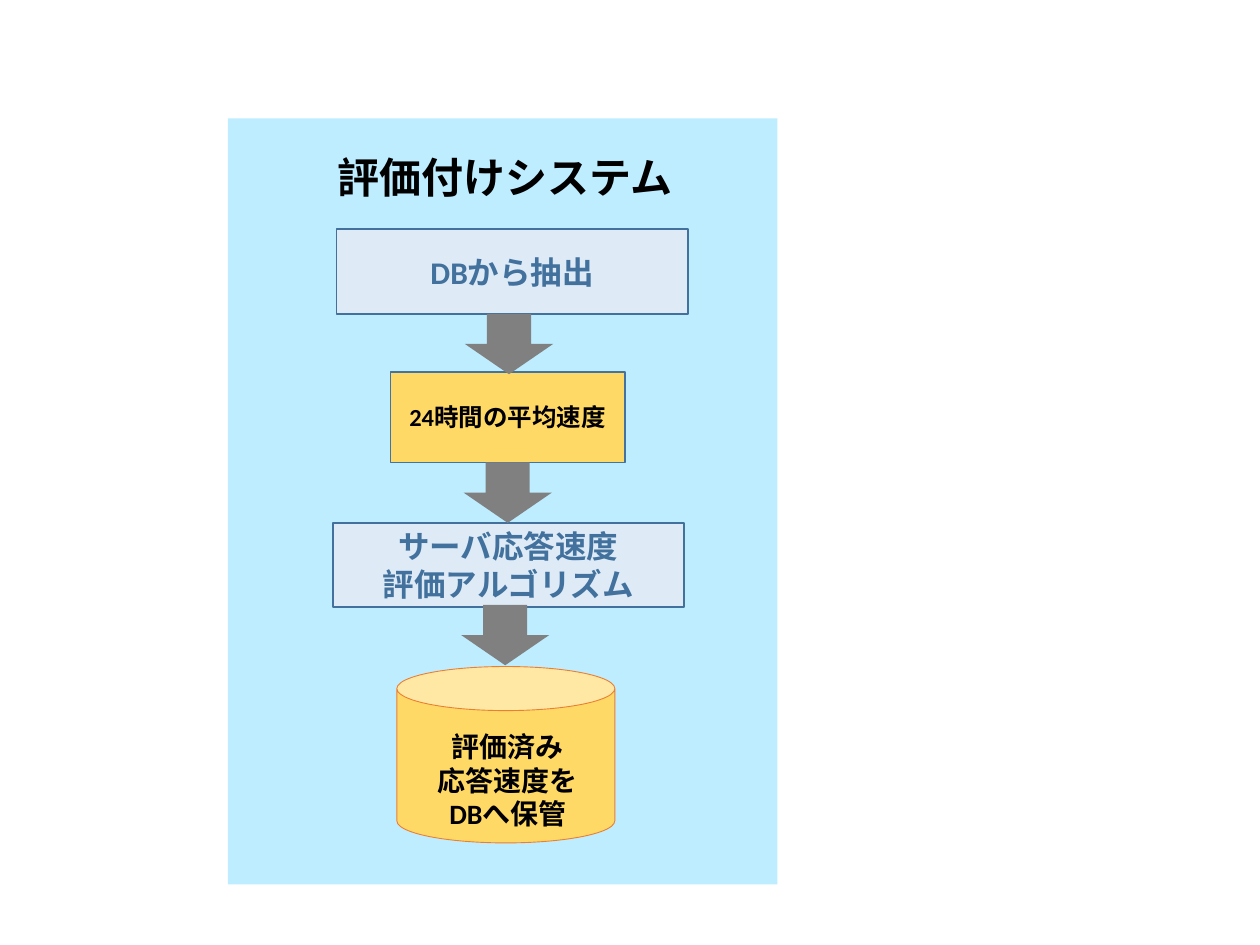
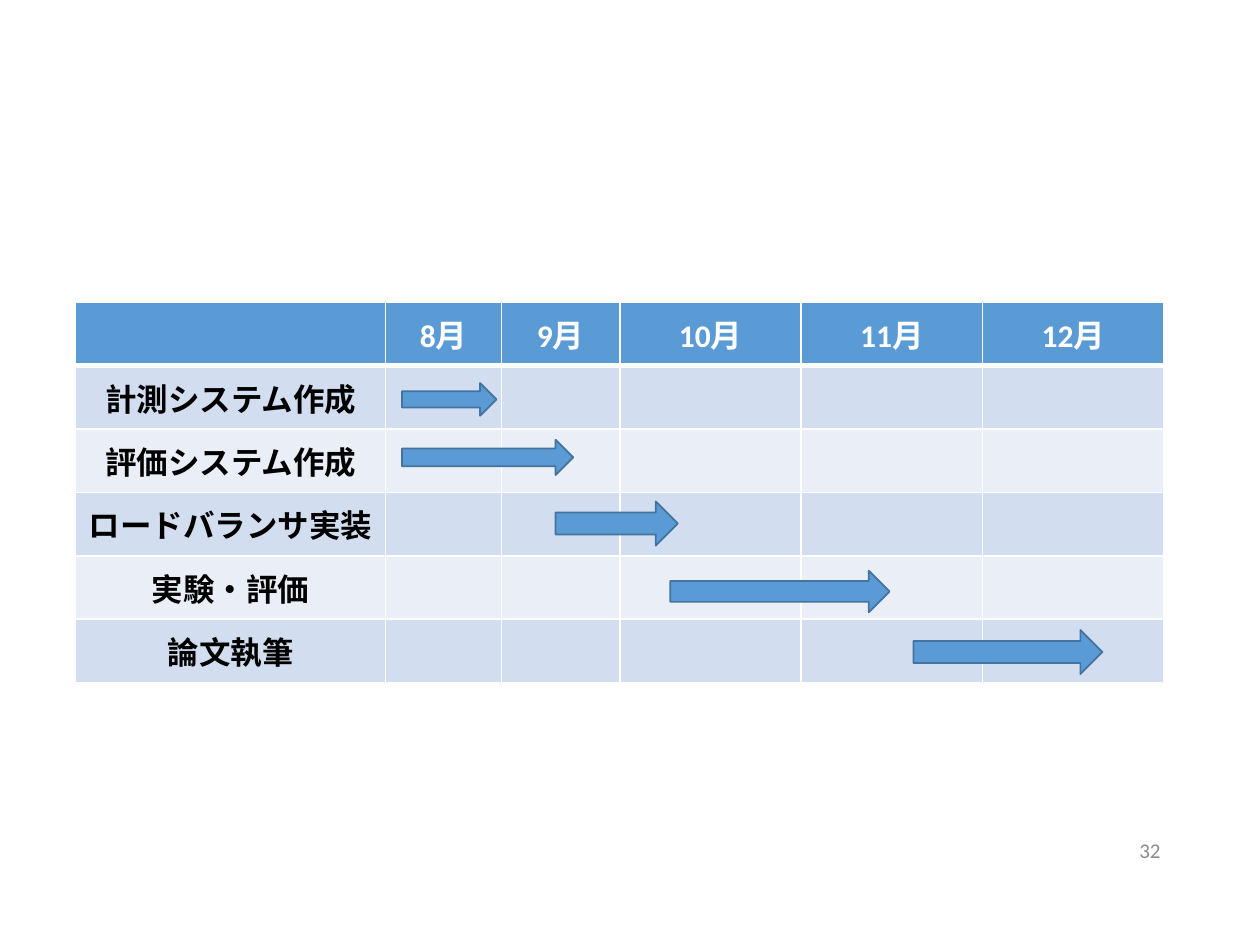
from lxml import etree
from pptx import Presentation
from pptx.dml.color import RGBColor
from pptx.enum.shapes import MSO_SHAPE
from pptx.enum.text import MSO_ANCHOR, MSO_AUTO_SIZE, PP_ALIGN
from pptx.oxml.ns import qn
from pptx.util import Inches, Pt

RECT, CAN = MSO_SHAPE.RECTANGLE, MSO_SHAPE.CAN
DOWN, RIGHT_ARROW = MSO_SHAPE.DOWN_ARROW, MSO_SHAPE.RIGHT_ARROW
LEFT, CENTER, RIGHT = PP_ALIGN.LEFT, PP_ALIGN.CENTER, PP_ALIGN.RIGHT
TOP, MIDDLE = MSO_ANCHOR.TOP, MSO_ANCHOR.MIDDLE

BLACK = RGBColor(0x00, 0x00, 0x00)
WHITE = RGBColor(0xFF, 0xFF, 0xFF)
GRAY = RGBColor(0x80, 0x80, 0x80)
NUMBER_GRAY = RGBColor(0x8C, 0x8C, 0x8C)
SKY = RGBColor(0xBD, 0xED, 0xFF)
PALE_BLUE = RGBColor(0xDE, 0xEB, 0xF7)
STEEL = RGBColor(0x41, 0x71, 0x9C)
OUTLINE = RGBColor(0x43, 0x73, 0x9E)
BLUE = RGBColor(0x5B, 0x9B, 0xD5)
BAND_DARK = RGBColor(0xD2, 0xDE, 0xEF)
BAND_LIGHT = RGBColor(0xEA, 0xEF, 0xF7)
GOLD = RGBColor(0xFF, 0xD9, 0x66)
ORANGE = RGBColor(0xED, 0x7D, 0x31)

WIDTH, HEIGHT = Inches(10), Inches(7.5)
COLUMNS, ROWS = 100, 75


class Deck:
    """Draws on the current slide; places are in grid columns and rows."""
    font = "Calibri"

    def __init__(self):
        self.prs = Presentation()
        self.prs.slide_width, self.prs.slide_height = WIDTH, HEIGHT

    def new_slide(self):
        self.s = self.prs.slides.add_slide(self.prs.slide_layouts[6])

    def x(self, columns):
        return round(WIDTH * columns / COLUMNS)

    def y(self, rows):
        return round(HEIGHT * rows / ROWS)

    def box(self, left, top, width, height):
        return self.x(left), self.y(top), self.x(width), self.y(height)

    def set_text(self, tf, text, size, color, bold=True, align=CENTER):
        tf.text = text
        for p in tf.paragraphs:
            p.alignment = align
            for r in p.runs:
                r.font.name = self.font
                r.font.size = Pt(size)
                r.font.bold = bold
                r.font.color.rgb = color

    def shape(self, kind, place, fill, line=None, weight=1):
        sp = self.s.shapes.add_shape(kind, *self.box(*place))
        sp.shadow.inherit = False
        sp.fill.solid()
        sp.fill.fore_color.rgb = fill
        if line is None:
            sp.line.fill.background()
        else:
            sp.line.color.rgb = line
            sp.line.width = Pt(weight)
        return sp

    def step(self, place, text, size, color, fill, line):
        sp = self.shape(RECT, place, fill, line)
        sp.text_frame.vertical_anchor = MIDDLE
        self.set_text(sp.text_frame, text, size, color)

    def label(self, place, text, size, color=BLACK, bold=True, align=CENTER,
              anchor=TOP, wrap=True, grow=True):
        sp = self.s.shapes.add_textbox(*self.box(*place))
        tf = sp.text_frame
        tf.word_wrap = wrap
        tf.vertical_anchor = anchor
        tf.auto_size = MSO_AUTO_SIZE.SHAPE_TO_FIT_TEXT if grow else MSO_AUTO_SIZE.NONE
        self.set_text(tf, text, size, color, bold, align)
        return sp

    def borders(self, cell, top, bottom):
        tc_pr = cell._tc.get_or_add_tcPr()
        for tag, weight in (("lnL", 1), ("lnR", 1), ("lnT", top), ("lnB", bottom)):
            ln = etree.SubElement(tc_pr, qn(f"a:{tag}"), w=str(Pt(weight)))
            fill = etree.SubElement(ln, qn("a:solidFill"))
            etree.SubElement(fill, qn("a:srgbClr"), val=str(WHITE))

    def schedule(self, left, top, widths, row_height, months, tasks):
        rows = [[""] + months] + [[task] + [""] * len(months) for task in tasks]
        place = self.box(left, top, sum(widths), row_height * len(rows))
        table = self.s.shapes.add_table(len(rows), len(widths), *place).table
        for column, width in zip(table.columns, widths):
            column.width = self.x(width)
        for i, texts in enumerate(rows):
            table.rows[i].height = self.y(row_height)
            band = BAND_DARK if i % 2 else BAND_LIGHT
            for j, text in enumerate(texts):
                cell = table.cell(i, j)
                self.borders(cell, 3 if i == 1 else 1, 3 if i == 0 else 1)
                cell.fill.solid()
                cell.fill.fore_color.rgb = band if i else BLUE
                cell.vertical_anchor = MIDDLE
                self.set_text(cell.text_frame, text, 18, BLACK if i else WHITE)


def rating_system(deck):
    deck.new_slide()
    deck.shape(RECT, (18.1, 9.4, 43.6, 60.8), SKY)
    deck.label((25.8, 11.5, 28.9, 5), "評価付けシステム", 24, align=LEFT, wrap=False)

    for left, top, text in ((26.7, 18.2, "DBから抽出"),
                            (26.4, 41.5, "サーバ応答速度\v評価アルゴリズム")):
        deck.step((left, top, 27.9, 6.7), text, 18, STEEL, PALE_BLUE, STEEL)
    deck.step((31, 29.5, 18.6, 7.2), "24時間の平均速度", 14, BLACK, GOLD, OUTLINE)

    for left, top in ((36.9, 24.9), (36.8, 36.7), (36.6, 48)):
        deck.shape(DOWN, (left, top, 7, 4.8), GRAY)

    store = deck.shape(CAN, (31.5, 52.9, 17.3, 14), GOLD, ORANGE, 0.5)
    caption = deck.label((29.4, 57.4, 21.8, 12.1),
                         "評価済み\n応答速度を\vDBへ保管", 16)
    deck.s.shapes.add_group_shape([store, caption])


def work_plan(deck):
    deck.new_slide()
    deck.schedule(6, 24, [24.6, 9.2, 9.4, 14.4, 14.4, 14.4], 5.03,
                  [f"{month}月" for month in range(8, 13)],
                  ["計測システム作成", "評価システム作成", "ロードバランサ実装",
                   "実験・評価", "論文執筆"])
    for period in ((31.9, 30.4, 7.5, 2.6), (31.9, 34.9, 13.6, 2.8),
                   (44.1, 39.8, 9.7, 3.5), (53.2, 45.3, 17.4, 3.3),
                   (72.5, 50, 15, 3.5)):
        deck.shape(RIGHT_ARROW, period, BLUE, OUTLINE)
    deck.label((70.6, 65.5, 22.5, 4), "32", 12, NUMBER_GRAY, bold=False,
               align=RIGHT, anchor=MIDDLE, grow=False)


def main():
    deck = Deck()
    rating_system(deck)
    work_plan(deck)
    deck.prs.save("out.pptx")


if __name__ == "__main__":
    main()
